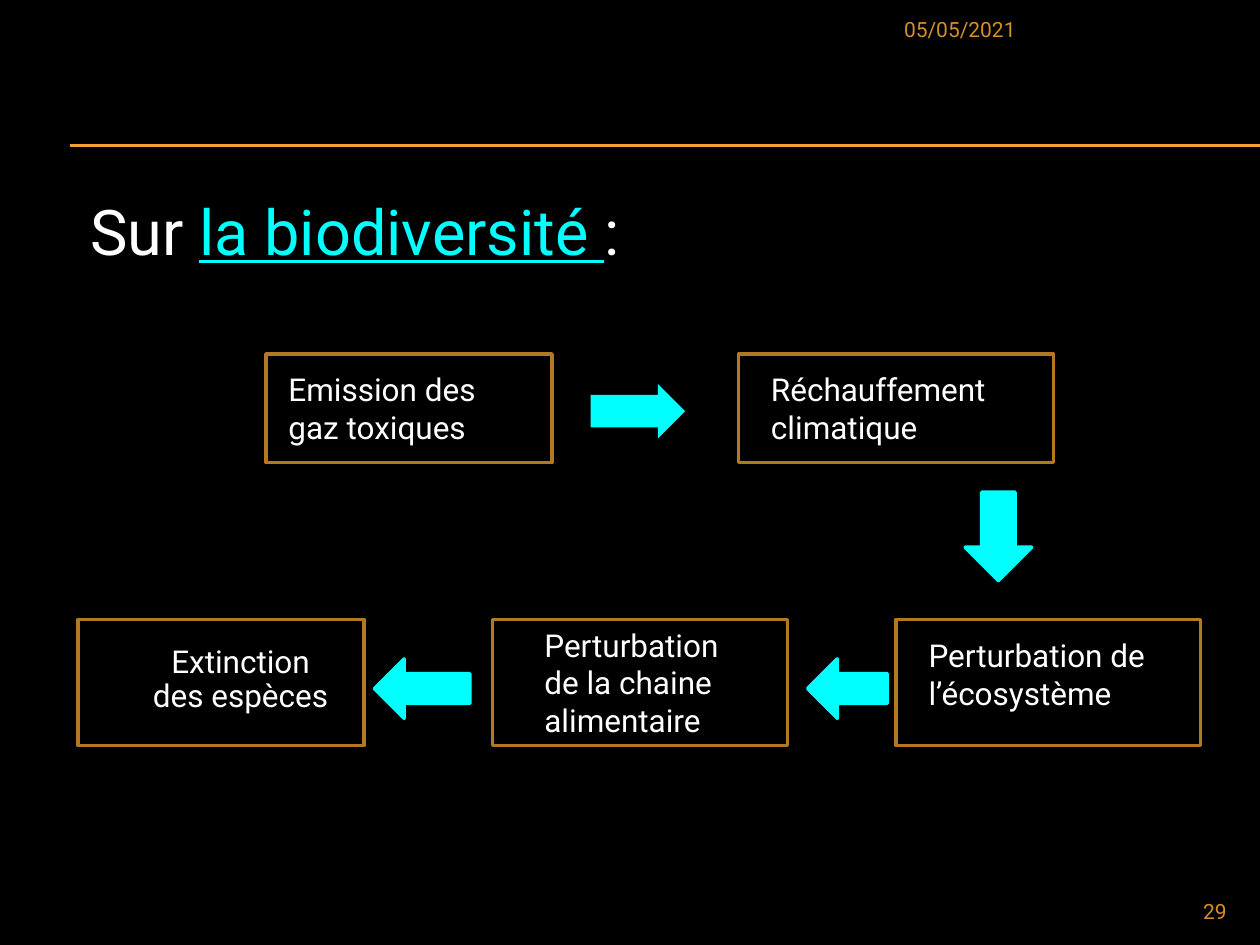
import pptx
import pptx.util
import pptx.dml.color
import pptx.enum.shapes
import pptx.enum.text
from lxml import etree

Pt = pptx.util.Pt
SHAPE = pptx.enum.shapes.MSO_SHAPE
ALIGN = pptx.enum.text.PP_ALIGN
FONT = "Roboto"
COLORS = {"back": "000000", "rule": "F0A22E", "footer": "D48F29",
          "frame": "B27822", "accent": "00FFFF", "text": "FFFFFF"}


def rgb(name):
    """Return the palette colour of that name."""
    return pptx.dml.color.RGBColor.from_string(COLORS[name])


def add_text(s, box, runs, size=18, align=ALIGN.LEFT, spacing=None):
    """Add a text box holding one paragraph of (text, colour, underline) runs."""
    tf = s.shapes.add_textbox(*map(Pt, box)).text_frame
    tf.word_wrap = True
    p = tf.paragraphs[0]
    p.alignment = align
    p.line_spacing = spacing
    for text, color, underline in runs:
        r = p.add_run()
        r.text = text
        r.font.name = FONT
        r.font.size = Pt(size)
        r.font.underline = underline
        r.font.color.rgb = rgb(color)


def add_shape(s, kind, box, fill=None, line=None):
    """Add a preset shape with an optional fill and outline."""
    sp = s.shapes.add_shape(kind, *map(Pt, box))
    sp.shadow.inherit = False
    if fill:
        sp.fill.solid()
        sp.fill.fore_color.rgb = rgb(fill)
    else:
        sp.fill.background()
    if line:
        sp.line.color.rgb = rgb(line)
        sp.line.width = Pt(2)
    else:
        sp.line.fill.background()
    return sp


def add_rule(s, left, right, y):
    """Add a thin horizontal rule."""
    line = s.shapes.add_connector(pptx.enum.shapes.MSO_CONNECTOR.STRAIGHT,
                                  Pt(left), Pt(y), Pt(right), Pt(y))
    line.line.color.rgb = rgb("rule")
    line.line.width = Pt(0.75)
    etree.SubElement(line._element.spPr, pptx.oxml.ns.qn("a:effectLst"))


def add_step(s, box, text, inset, **fmt):
    """Add a framed step whose label is inset by (left, top, right, bottom)."""
    x, y, w, h = box
    left, top, right, bottom = inset
    add_shape(s, SHAPE.RECTANGLE, box, line="frame")
    label = (x + left, y + top, w - left - right, h - top - bottom)
    add_text(s, label, [(text, "text", False)], **fmt)


def add_header(s, box):
    """Add the date, the double rule and the title."""
    x, y, w, h = box
    for offset in (0, 0.7):
        add_rule(s, x, x + w, y + 82.8 + offset)
    add_text(s, (x + 469.5, y + 5.8, 198, 23),
             [("05/05/2021", "footer", False)], size=12)
    add_text(s, (x + 4.5, y + 106.5, 343.5, 51),
             [("Sur ", "text", False), ("la biodiversité ", "accent", True),
              (":", "text", False)], size=36)


def add_flow(s, box):
    """Add the chain of steps in two rows with the arrows between them."""
    x, y, w, h = box
    low = y + 151.75
    add_step(s, (x + 107.5, y, 163.5, 62), "Emission des gaz toxiques",
             (5.75, 5.75, 11.5, 5.25))
    add_step(s, (x + 377.5, y, 180, 62), "Réchauffement climatique",
             (11.5, 5.75, 16.5, 5.25))
    add_step(s, (x + 467.5, low, 174, 72), "Perturbation de l’écosystème",
             (11.5, 5.75, 22, 15.25))
    add_step(s, (x + 237, low, 168.5, 72),
             "Perturbation de la chaine alimentaire", (22.5, 0, 11, 0))
    add_step(s, (x, low, 163.5, 72), "Extinction des espèces",
             (34, 11.5, 11.5, 13.5), align=ALIGN.CENTER, spacing=0.9)

    arrow = add_shape(s, SHAPE.RIGHT_ARROW, (x + 293, y + 17.25, 54, 31),
                      fill="accent")
    arrow.adjustments[0] = 0.6
    add_shape(s, SHAPE.DOWN_ARROW, (x + 507, y + 79, 38, 50.5),
              fill="accent", line="accent")
    for left, width in ((417, 45.5), (169.5, 54.5)):
        add_shape(s, SHAPE.LEFT_ARROW, (x + left, low + 22.5, width, 34),
                  fill="accent", line="accent")


def add_footer(s, box):
    """Add the slide number."""
    add_text(s, box, [("29", "footer", False)], size=12, align=ALIGN.RIGHT)


def main():
    """Build and save the slide."""
    prs = pptx.Presentation()
    prs.slide_width, prs.slide_height = Pt(720), Pt(540)
    s = prs.slides.add_slide(prs.slide_layouts[6])
    s.background.fill.solid()
    s.background.fill.fore_color.rgb = rgb("back")
    add_header(s, (40, 0, 680, 160))
    add_flow(s, (44.5, 202.25, 641.5, 224))
    add_footer(s, (648, 509.75, 60, 19.5))
    prs.save("out.pptx")


if __name__ == "__main__":
    main()
